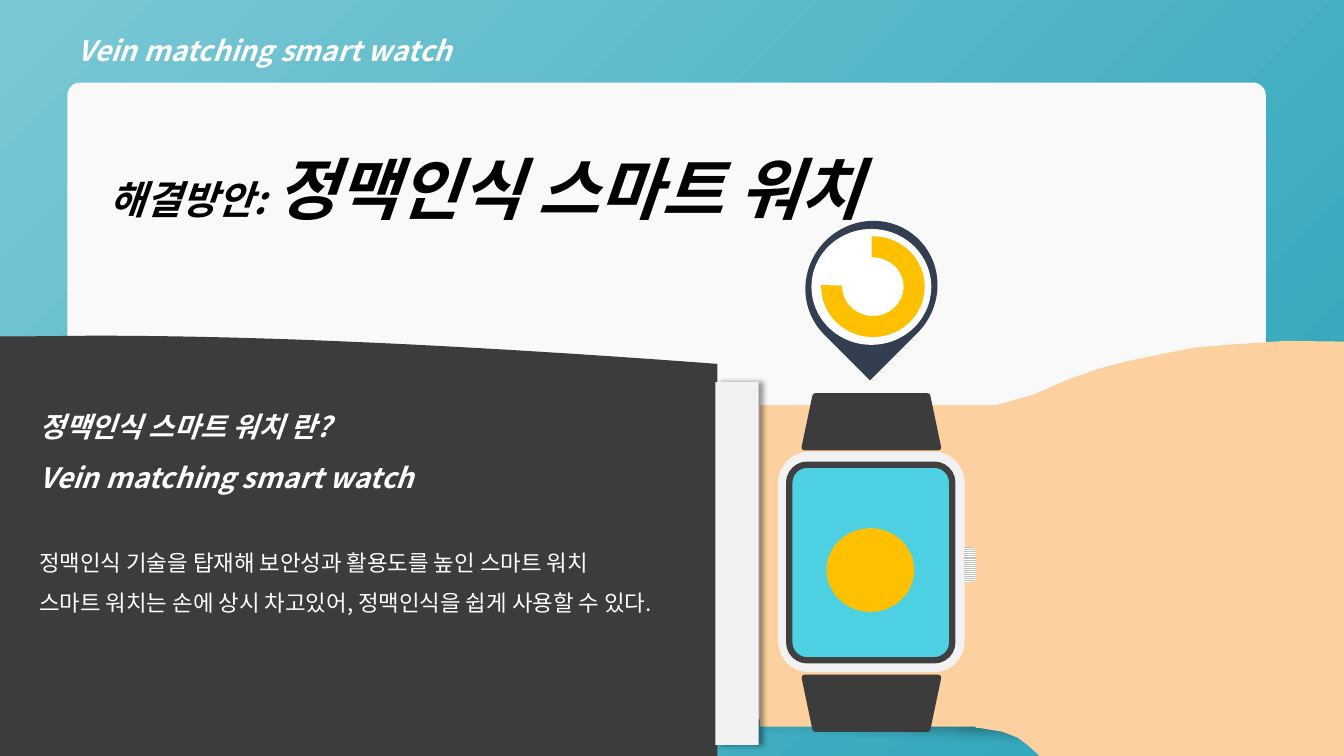
from lxml import etree
from pptx import Presentation
from pptx.dml.color import RGBColor
from pptx.enum.dml import MSO_PATTERN
from pptx.enum.shapes import MSO_SHAPE
from pptx.enum.text import MSO_AUTO_SIZE, PP_ALIGN
from pptx.oxml.ns import qn
from pptx.util import Cm, Pt

RECT = MSO_SHAPE.RECTANGLE
ROUND = MSO_SHAPE.ROUNDED_RECTANGLE
ROUND_TOP = MSO_SHAPE.ROUND_2_SAME_RECTANGLE
TRIANGLE = MSO_SHAPE.RIGHT_TRIANGLE
TRAPEZOID = MSO_SHAPE.TRAPEZOID
ELLIPSE = MSO_SHAPE.OVAL
TEARDROP = MSO_SHAPE.TEAR
ARC = MSO_SHAPE.ARC
STRIPES = MSO_PATTERN.LIGHT_HORIZONTAL
JUSTIFY = PP_ALIGN.JUSTIFY
LEFT = PP_ALIGN.LEFT
GROW = MSO_AUTO_SIZE.SHAPE_TO_FIT_TEXT

BLACK = RGBColor(0x00, 0x00, 0x00)
WHITE = RGBColor(0xFF, 0xFF, 0xFF)
SKY = RGBColor(0x7A, 0xC8, 0xD5)
TEAL = RGBColor(0x29, 0xA2, 0xB7)
CARD = RGBColor(0xF9, 0xF9, 0xF9)
SKIN = RGBColor(0xFC, 0xD0, 0x9F)
CHARCOAL = RGBColor(0x3C, 0x3C, 0x3C)
BEZEL = RGBColor(0x40, 0x40, 0x40)
PALE = RGBColor(0xF2, 0xF2, 0xF2)
SCREEN = RGBColor(0x4D, 0xD0, 0xE2)
SILVER = RGBColor(0xBF, 0xBF, 0xBF)
AMBER = RGBColor(0xFF, 0xC0, 0x00)
NAVY = RGBColor(0x33, 0x3F, 0x50)

ARM = [(24.49, 10.39), (26.09, 9.93), (26.87, 9.58), (27.66, 9.3), (28.47, 9.09),
       (29.29, 8.92), (30.1, 8.76), (30.91, 8.69), (31.67, 8.64), (32.39, 8.59),
       (33.91, 8.61), (35.18, 8.69), (35.94, 8.69), (36.58, 8.86), (37.19, 9.22),
       (37.19, 19.15), (26.31, 19.15), (25.93, 18.8), (25.65, 18.59),
       (25.27, 18.44), (24.66, 18.34), (24.59, 18.34)]
SLEEVE_TOP = [(2.29, 8.46), (5.82, 8.46), (10.54, 8.61), (18.08, 9.17)]
SLEEVE_REST = [(18.08, 19.05), (0, 19.05), (0, 8.48), (0.3, 8.48)]


def bezier(controls, steps=24):
    """Return points along a cubic curve."""
    points = []
    for i in range(steps + 1):
        t = i / steps
        weights = ((1 - t) ** 3, 3 * t * (1 - t) ** 2, 3 * t * t * (1 - t), t ** 3)
        points.append(tuple(sum(w * c[k] for w, c in zip(weights, controls)) for k in (0, 1)))
    return points


class SlideBuilder:
    """Hold the style and the current slide, and draw its elements."""

    font = "Noto Sans CJK KR"

    def __init__(self, slide):
        self.slide = slide

    def background(self, start, end):
        fill = self.slide.background.fill
        fill.gradient()
        fill.gradient_angle = 315
        for stop, color, position in zip(fill.gradient_stops, (start, end), (0, 1)):
            stop.color.rgb = color
            stop.position = position

    def paint(self, sp, fill=None, line=None):
        sp.shadow.inherit = False
        if fill is None:
            sp.fill.background()
        else:
            sp.fill.solid()
            sp.fill.fore_color.rgb = fill
        if line is None:
            sp.line.fill.background()
        else:
            sp.line.color.rgb = line[0]
            sp.line.width = Pt(line[1])
            etree.SubElement(sp.line._get_or_add_ln(), qn("a:round"))
        return sp

    def shape(self, kind, box, fill=None, line=None, adj=(), rotation=0):
        sp = self.slide.shapes.add_shape(kind, *map(Cm, box))
        for i, value in enumerate(adj):
            sp.adjustments[i] = value
        sp.rotation = rotation
        return self.paint(sp, fill, line)

    def outline(self, points, fill):
        points = [(Cm(x), Cm(y)) for x, y in points]
        builder = self.slide.shapes.build_freeform(*points[0])
        builder.add_line_segments(points[1:])
        return self.paint(builder.convert_to_shape(), fill)

    def soft_triangle(self, box, flips):
        sp = self.shape(TRIANGLE, box, BLACK)
        spPr = sp._element.spPr
        for flip in flips:
            spPr.find(qn("a:xfrm")).set(flip, "1")
        color = spPr.find(qn("a:solidFill"))[0]
        etree.SubElement(color, qn("a:alpha"), val="51000")
        etree.SubElement(spPr.find(qn("a:effectLst")), qn("a:softEdge"), rad="127000")

    def cast_shadow(self, sp, blur, dist, alpha):
        effects = sp._element.spPr.find(qn("a:effectLst"))
        shadow = etree.SubElement(effects, qn("a:outerShdw"), blurRad=str(Pt(blur)),
                                  dist=str(Pt(dist)), dir="0", algn="l", rotWithShape="0")
        color = etree.SubElement(shadow, qn("a:srgbClr"), val=str(BLACK))
        etree.SubElement(color, qn("a:alpha"), val=str(alpha * 1000))

    def text(self, box, paragraphs, color, **paragraph_format):
        tf = self.slide.shapes.add_textbox(*map(Cm, box)).text_frame
        tf.word_wrap = True
        tf.auto_size = GROW
        for i, (runs, before) in enumerate(paragraphs):
            p = tf.paragraphs[0] if i == 0 else tf.add_paragraph()
            for name, value in {**paragraph_format, "space_before": Pt(before)}.items():
                setattr(p, name, value)
            for content, size, strong in runs:
                r = p.add_run()
                r.text = content
                style = {"name": self.font, "size": Pt(size), "bold": strong, "italic": strong}
                for name, value in style.items():
                    setattr(r.font, name, value)
                r.font.color.rgb = color
                etree.SubElement(r._r.get_or_add_rPr(), qn("a:ea"), typeface=self.font)


def main():
    prs = Presentation()
    prs.slide_width, prs.slide_height = Cm(33.87), Cm(19.05)
    s = SlideBuilder(prs.slides.add_slide(prs.slide_layouts[6]))
    s.background(SKY, TEAL)

    s.soft_triangle((1.65, 17.75, 30.53, 1.27), ("flipH", "flipV"))
    s.soft_triangle((1.37, 17.81, 30.53, 1.27), ("flipV",))
    s.shape(ROUND, (1.7, 2.08, 30.2, 16.05), CARD, adj=[0.02])
    s.text((2.51, 2.57, 28.14, 2.95),
           [([("해결방안: ", 28, True), ("정맥인식 스마트 워치", 48, True)], 0)],
           BLACK, alignment=JUSTIFY, line_spacing=1.5)

    s.outline(ARM, SKIN)
    s.outline(bezier(SLEEVE_TOP) + SLEEVE_REST, CHARCOAL)
    s.shape(RECT, (19.15, 10.21, 6.12, 8.1), SKIN)

    for top, rotation in ((9.98, 0), (17.07, 180)):
        s.shape(TRAPEZOID, (20.27, top, 3.38, 1.3), CHARCOAL, (CHARCOAL, 4), [0.21], rotation)
    s.shape(ROUND, (19.61, 11.38, 4.7, 5.56), PALE)
    s.shape(ROUND, (19.89, 11.71, 4.11, 4.93), SCREEN, (BEZEL, 4.5), [0.11])
    crown = s.shape(ROUND_TOP, (24, 14.07, 0.89, 0.3), WHITE, adj=[0.45, 0], rotation=90)
    crown.fill.patterned()
    crown.fill.pattern = STRIPES
    crown.fill.fore_color.rgb = SILVER
    crown.fill.back_color.rgb = WHITE
    s.shape(ELLIPSE, (20.83, 13.31, 2.21, 2.11), AMBER)

    cuff = s.shape(RECT, (18.03, 9.63, 1.09, 9.14), PALE)
    s.cast_shadow(cuff, blur=4, dist=3, alpha=40)
    s.text((0.74, 9.78, 16.41, 9.17),
           [([("정맥인식 스마트 워치 란?", 20, True)], 0),
            ([("Vein matching smart watch", 20, True)], 0),
            ([("정맥인식 기술을 탑재해 보안성과 활용도를 높인 스마트 워치", 16, False)], 30),
            ([("스마트 워치는 손에 상시 차고있어, 정맥인식을 쉽게 사용할 수 있다.", 16, False)], 0)],
           WHITE, alignment=JUSTIFY, line_spacing=1.5)

    s.shape(TEARDROP, (20.27, 5.59, 3.38, 3.28), NAVY, rotation=135)
    s.shape(ELLIPSE, (20.45, 5.77, 3.02, 2.92), WHITE)
    s.shape(ARC, (20.96, 6.22, 2.08, 2.01), line=(AMBER, 15), adj=[160.96, 109.15])
    s.text((1.7, 0.71, 19.1, 1.12), [([("Vein matching smart watch", 20, True)], 0)],
           WHITE, alignment=LEFT)

    prs.save("out.pptx")


if __name__ == "__main__":
    main()
